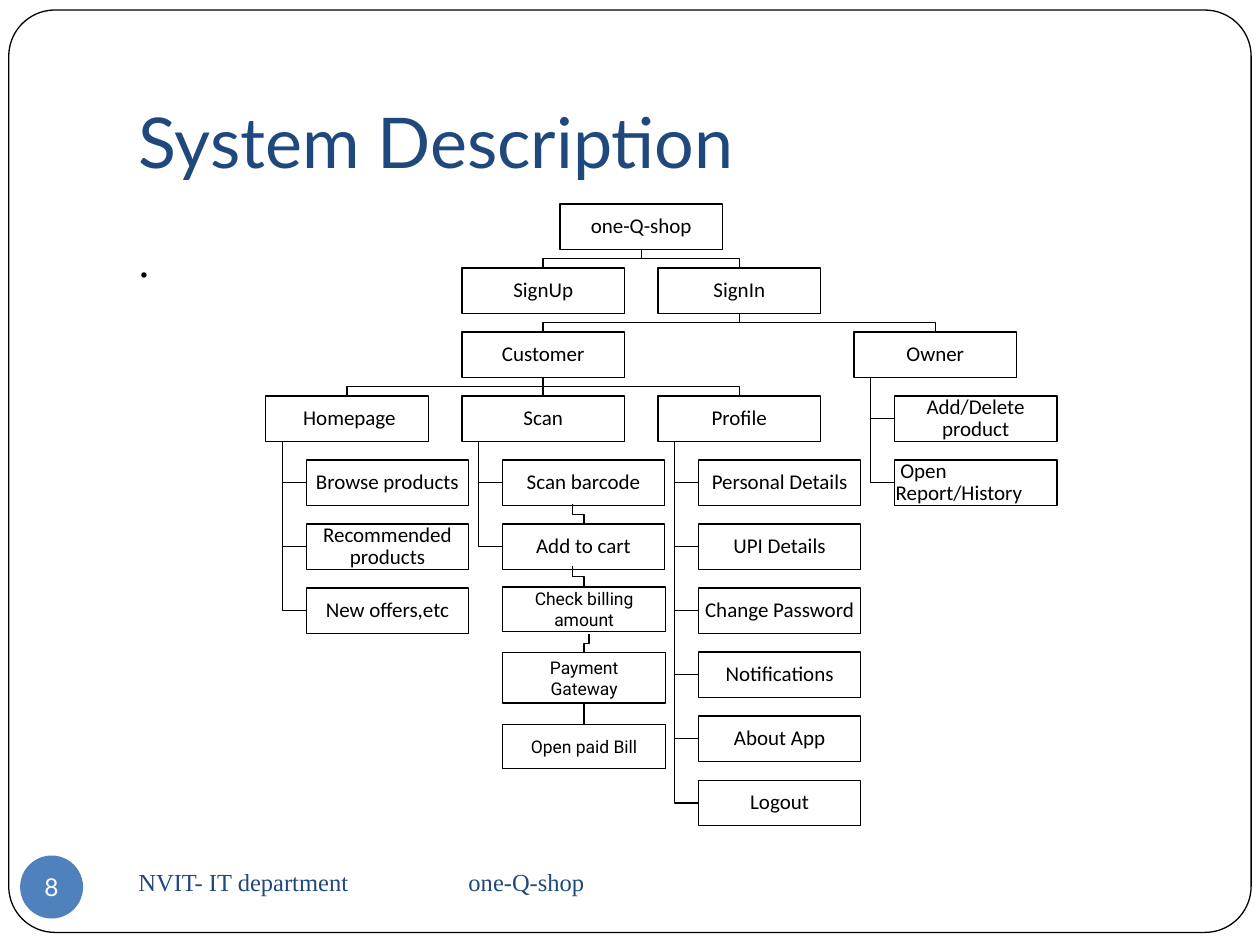
from dataclasses import dataclass

from lxml import etree
from pptx import Presentation
from pptx import util as u
from pptx.dml.color import RGBColor
from pptx.enum import shapes, text
from pptx.oxml.ns import qn

Inches = u.Inches


@dataclass(frozen=True)
class Theme:
    ink: RGBColor = RGBColor(0x00, 0x00, 0x00)
    paper: RGBColor = RGBColor(0xFF, 0xFF, 0xFF)
    heading: RGBColor = RGBColor(0x1F, 0x49, 0x7D)
    badge: RGBColor = RGBColor(0x4F, 0x81, 0xBD)
    title_size: u.Pt = u.Pt(40)
    body_size: u.Pt = u.Pt(26)
    footer_size: u.Pt = u.Pt(14)
    node_size: u.Pt = u.Pt(12)
    step_size: u.Pt = u.Pt(10)
    line_width: u.Pt = u.Pt(0.75)
    title_font: str = "Lato"
    serif_font: str = "Times New Roman"
    node_font: str = "Calibri"
    step_font: str = "Roboto"


THEME = Theme()
ALIGN = text.PP_ALIGN
ANCHOR = text.MSO_ANCHOR
SHAPE = shapes.MSO_SHAPE
CONNECTOR = shapes.MSO_CONNECTOR

# Grid of the chart: box size, distance between boxes, indent of list items
NODE_WIDTH, NODE_HEIGHT = 1.29, 0.36
COLUMN_PITCH, ROW_PITCH = 1.556, 0.508
INDENT, STEM = 0.32, 0.13

# Column, row, label, list below the box
BRANCHES = {
    "root": (1.5, 0, "one-Q-shop", []),
    "signup": (1, 1, "SignUp", []),
    "signin": (2, 1, "SignIn", []),
    "customer": (1, 2, "Customer", []),
    "owner": (3, 2, "Owner", ["Add/Delete product", " Open Report/History"]),
    "homepage": (0, 3, " Homepage",
                 ["Browse products", "Recommended products", "New offers,etc"]),
    "scan": (1, 3, "Scan", ["Scan barcode", "Add to cart"]),
    "profile": (2, 3, "Profile",
                ["Personal Details", "UPI Details", "Change Password",
                 "Notifications", "About App", "Logout"]),
}
LINKS = [("root", "signup"), ("root", "signin"),
         ("signin", "customer"), ("signin", "owner"),
         ("customer", "homepage"), ("customer", "scan"), ("customer", "profile")]
LEFT_ALIGNED = {" Open Report/History"}

# Payment steps: offset from the top of their box, height, label
STEPS = [(0, 0.35, "Check billing amount"),
         (0.52, 0.4, "Payment Gateway"),
         (1.09, 0.35, "Open paid Bill")]


def write(shape, label, font, size, color, align=ALIGN.LEFT,
          anchor=ANCHOR.MIDDLE, insets=(0.1, 0.05, 0.1, 0.05), spacing=None):
    frame = shape.text_frame
    frame.word_wrap = True
    frame.vertical_anchor = anchor
    (frame.margin_left, frame.margin_top,
     frame.margin_right, frame.margin_bottom) = map(Inches, insets)
    paragraph = frame.paragraphs[0]
    paragraph.text = label
    paragraph.alignment = align
    paragraph.line_spacing = spacing
    paragraph.font.name = font
    paragraph.font.size = size
    paragraph.font.color.rgb = color
    return paragraph


def outline(shape):
    shape.line.color.rgb = THEME.ink
    shape.line.width = THEME.line_width


def add_box(slide, kind, box, fill):
    shape = slide.shapes.add_shape(kind, *map(Inches, box))
    shape.shadow.inherit = False
    shape.fill.solid()
    shape.fill.fore_color.rgb = fill
    outline(shape)
    return shape


def add_path(slide, points):
    start, *rest = [tuple(map(Inches, point)) for point in points]
    builder = slide.shapes.build_freeform(*start)
    builder.add_line_segments(rest, close=False)
    shape = builder.convert_to_shape()
    shape.shadow.inherit = False
    shape.fill.background()
    outline(shape)


def add_line(slide, kind, start, end):
    connector = slide.shapes.add_connector(kind, *map(Inches, (*start, *end)))
    outline(connector)
    etree.SubElement(connector._element.spPr, qn("a:effectLst"))
    return connector


def add_straight(slide, upper, lower):
    connector = add_line(slide, CONNECTOR.STRAIGHT, (0, 0), (0, 0))
    connector.begin_connect(upper, 2)
    connector.end_connect(lower, 0)


def add_elbow(slide, start, end):
    """Elbow that leaves and arrives vertically: a level one turned by 90 degrees."""
    (x1, y1), (x2, y2) = start, end
    center_x, center_y = (x1 + x2) / 2, (y1 + y2) / 2
    half_x, half_y = (x2 - x1) / 2, (y2 - y1) / 2
    connector = add_line(slide, CONNECTOR.ELBOW,
                         (center_x - half_y, center_y + half_x),
                         (center_x + half_y, center_y - half_x))
    connector._element.spPr.find(qn("a:xfrm")).set("rot", "5400000")


def add_node(slide, left, top, label):
    node = add_box(slide, SHAPE.RECTANGLE, (left, top, NODE_WIDTH, NODE_HEIGHT), THEME.paper)
    align = ALIGN.LEFT if label in LEFT_ALIGNED else ALIGN.CENTER
    write(node, label, THEME.node_font, THEME.node_size, THEME.ink, align,
          insets=(0.01,) * 4, spacing=0.9)
    return node


def add_frame(slide, box):
    frame = add_box(slide, SHAPE.ROUNDED_RECTANGLE, box, THEME.paper)
    frame.adjustments[0] = 0.05
    slide.shapes._spTree.insert(2, frame._element)  # behind the title


def add_title(slide, box):
    title = slide.shapes.title
    title.left, title.top, title.width, title.height = map(Inches, box)
    write(title, "System Description", THEME.title_font, THEME.title_size,
          THEME.heading, anchor=ANCHOR.BOTTOM, insets=(0.1, 0.05, 0.1, 0.1))


def add_body(slide, box):
    body = slide.shapes.add_textbox(*map(Inches, box))
    write(body, ".", THEME.serif_font, THEME.body_size, THEME.ink,
          ALIGN.JUSTIFY, ANCHOR.TOP, spacing=1.5)


def add_footer(slide, box, badge_box):
    footer = slide.shapes.add_textbox(*map(Inches, box))
    paragraph = write(footer, "NVIT- IT department\tone-Q-shop",
                      THEME.serif_font, THEME.footer_size, THEME.heading)
    stops = etree.Element(qn("a:tabLst"))
    etree.SubElement(stops, qn("a:tab"), pos=str(Inches(2.62)), algn="l")
    paragraph._p.get_or_add_pPr().insert(0, stops)

    badge = add_box(slide, SHAPE.OVAL, badge_box, THEME.badge)
    badge.line.fill.background()
    write(badge, "8", THEME.title_font, THEME.footer_size, THEME.paper,
          ALIGN.CENTER, insets=(0,) * 4)


def add_tree(slide, left, top):
    corners = {key: (left + column * COLUMN_PITCH, top + row * ROW_PITCH)
               for key, (column, row, _, _) in BRANCHES.items()}
    nodes = {}
    for key, (_, _, label, items) in BRANCHES.items():
        x, y = corners[key]
        # List items hang from a stem at the left of their branch
        for number, item in enumerate(items, 1):
            item_y = y + number * ROW_PITCH
            middle = item_y + NODE_HEIGHT / 2
            add_path(slide, [(x + STEM, y + NODE_HEIGHT), (x + STEM, middle),
                             (x + INDENT, middle)])
            add_node(slide, x + INDENT, item_y, item)
        nodes[key] = add_node(slide, x, y, label)

    # Branches from parent to child
    for parent, child in LINKS:
        x1, x2 = (corners[key][0] + NODE_WIDTH / 2 for key in (parent, child))
        y1, y2 = corners[parent][1] + NODE_HEIGHT, corners[child][1]
        if x1 == x2:
            add_straight(slide, nodes[parent], nodes[child])
        else:
            middle = (y1 + y2) / 2
            add_path(slide, [(x1, y1), (x1, middle), (x2, middle), (x2, y2)])


def add_payment_steps(slide, left, top):
    boxes = []
    for offset, height, label in STEPS:
        step = add_box(slide, SHAPE.RECTANGLE, (left, top + offset, NODE_WIDTH, height),
                       THEME.paper)
        write(step, label, THEME.step_font, THEME.step_size, THEME.ink,
              ALIGN.CENTER, insets=(0.1,) * 4)
        boxes.append(step)
    center = left + NODE_WIDTH / 2
    for end_y in (top - 0.49, top):
        add_elbow(slide, (center - 0.09, end_y - 0.17), (center, end_y))
    add_elbow(slide, (center + 0.04, top + 0.37), (center, top + 0.52))
    add_straight(slide, boxes[1], boxes[2])


def main():
    presentation = Presentation()
    presentation.slide_width, presentation.slide_height = Inches(10), Inches(7.5)
    slide = presentation.slides.add_slide(presentation.slide_layouts[5])
    add_frame(slide, (0.07, 0.08, 9.86, 7.32))
    add_title(slide, (1, 0.3, 8.5, 1.25))
    add_body(slide, (1, 1.58, 8.5, 5))
    add_footer(slide, (1, 6.75, 6.87, 0.5), (0.16, 6.79, 0.5, 0.5))
    add_tree(slide, 2.11, 1.62)
    add_payment_steps(slide, 3.99, 4.66)
    presentation.save("out.pptx")


if __name__ == "__main__":
    main()
